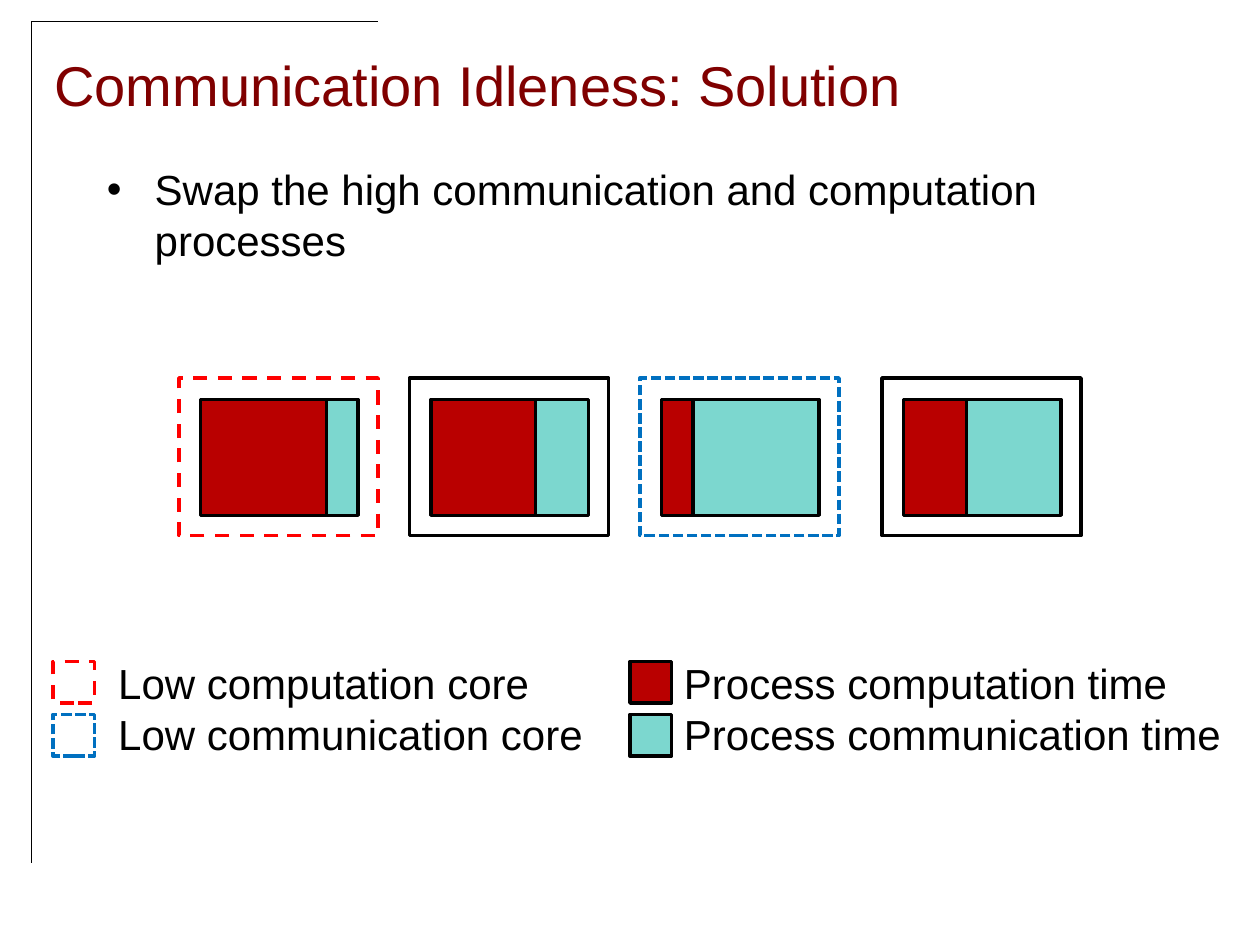
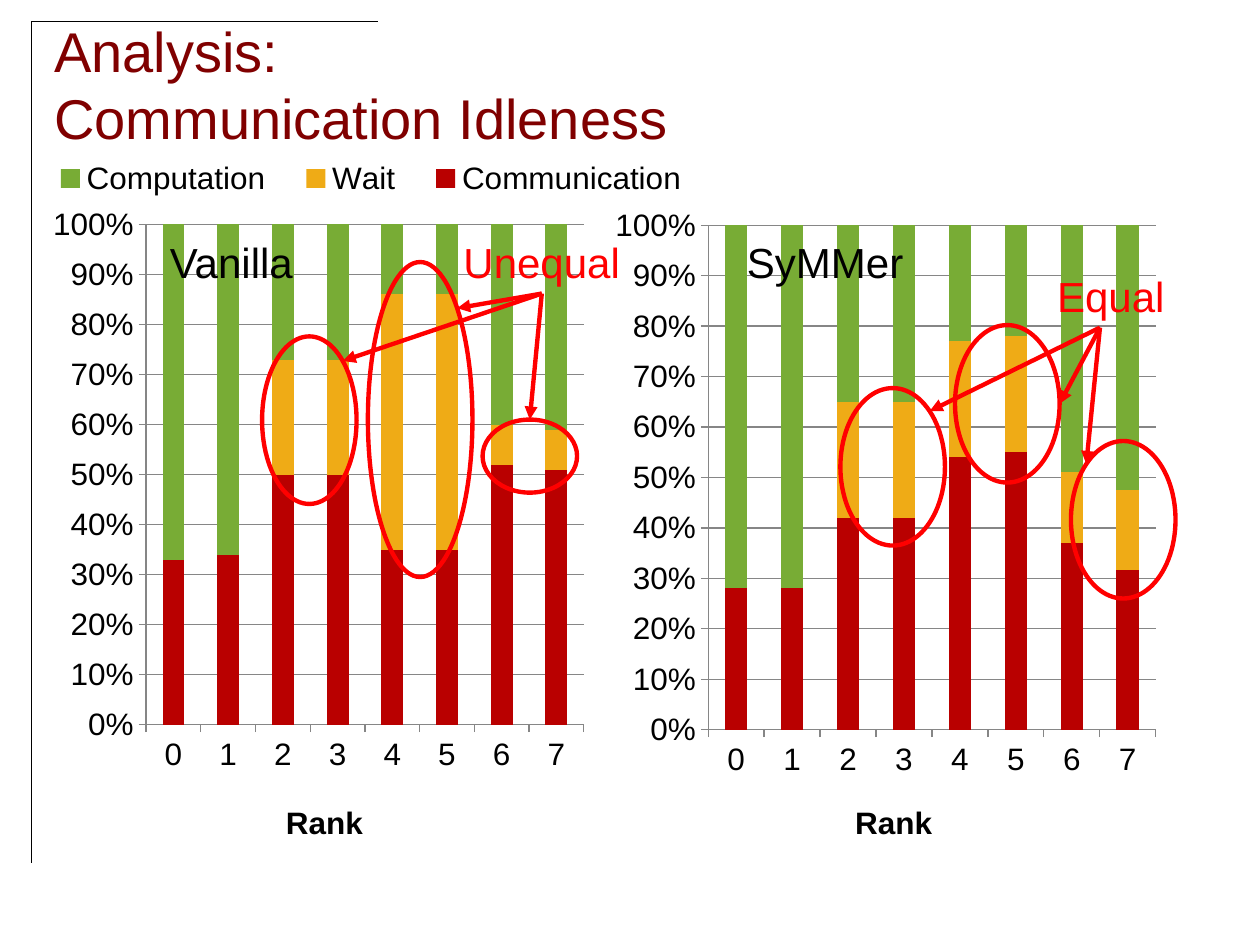
from dataclasses import dataclass
from math import cos, radians, sin
from typing import Optional

from lxml.etree import SubElement
from pptx import Presentation
from pptx.chart.data import CategoryChartData
from pptx.dml.color import RGBColor
from pptx.enum.chart import XL_CHART_TYPE, XL_LEGEND_POSITION, XL_TICK_MARK
from pptx.enum.dml import MSO_LINE
from pptx.enum.shapes import MSO_CONNECTOR, MSO_SHAPE
from pptx.enum.text import MSO_ANCHOR, PP_ALIGN
from pptx.oxml import parse_xml
from pptx.oxml.ns import nsdecls, qn
from pptx.util import Inches, Pt

FONT = "Arial"
BLACK, WHITE, RED, BLUE = "000000", "FFFFFF", "FF0000", "0070C0"
TITLE_COLOR, GRID_COLOR = "800000", "868686"
COMPUTATION_TIME, COMMUNICATION_TIME = "B90000", "7CD7CF"
SERIES_COLORS = {"Communication": "B90000", "Wait": "EFAB16", "Computation": "78AC35"}


@dataclass
class Box:
    left: float
    top: float
    width: float
    height: float

    def inches(self):
        return [Inches(value) for value in (self.left, self.top, self.width, self.height)]


@dataclass
class Outline:
    color: str = BLACK
    width: float = 2
    dash: Optional[MSO_LINE] = None


LOW_COMPUTATION = Outline(RED, dash=MSO_LINE.DASH)
LOW_COMMUNICATION = Outline(BLUE, dash=MSO_LINE.SQUARE_DOT)
HIGHLIGHT = Outline(RED, 2.5)


@dataclass
class Core:
    left: float
    computation_width: float
    outline: Outline


@dataclass
class Target:
    """An ellipse and the angle, in degrees, at which an arrow meets it."""
    box: Box
    angle: float

    def meeting_point(self):
        box, angle = self.box, radians(self.angle)
        return (box.left + box.width / 2 * (1 + cos(angle)),
                box.top + box.height / 2 * (1 - sin(angle)))


@dataclass
class RankChart:
    name: str
    name_box: Box
    box: Box
    plot: Box
    values: list
    has_legend: bool
    remark: str
    remark_box: Box
    remark_indent: float
    targets: list


CORES = [Core(1.42, 1, LOW_COMPUTATION), Core(3.25, 0.83, Outline()),
         Core(5.08, 0.25, LOW_COMMUNICATION), Core(7, 0.5, Outline())]

CHARTS = [
    RankChart("Vanilla", Box(1.25, 1.83, 1.2, 0.5), Box(0, 0.96, 6.01, 5.79),
              Box(0.193, 0.144, 0.578, 0.696),
              [(33, 34, 50, 50, 35, 35, 52, 51), (0, 0, 23, 23, 51, 51, 8, 8),
               (67, 66, 27, 27, 14, 14, 40, 41)],
              True, "Unequal", Box(3.58, 1.83, 1.44, 0.5), 0.1,
              [Target(Box(2.08, 2.67, 0.75, 1.33), 45),
               Target(Box(2.92, 2.08, 0.83, 2.5), 45),
               Target(Box(3.83, 3.33, 0.75, 0.58), 90)]),
    RankChart("SyMMer", Box(5.83, 1.83, 1.44, 0.5), Box(4.83, 1, 5.17, 5.75),
              Box(0.153, 0.139, 0.687, 0.707),
              [(28, 28, 42, 42, 54, 55, 37, 32), (0, 0, 23, 23, 23, 23, 14, 16),
               (72, 72, 35, 35, 23, 22, 49, 53)],
              False, "Equal", Box(8.11, 2.1, 1.24, 0.5), 0.28,
              [Target(Box(6.67, 3.08, 0.83, 1.25), 45),
               Target(Box(7.58, 2.58, 0.83, 1.25), 0),
               Target(Box(8.5, 3.5, 0.83, 1.25), 135)]),
]


def rgb(color: str) -> RGBColor:
    return RGBColor.from_string(color)


def set_font(font, size: float, color: str = BLACK, bold: bool = False) -> None:
    font.name, font.size, font.bold = FONT, Pt(size), bold
    font.color.rgb = rgb(color)


def add_run(paragraph, text: str, size: float = 24, color: str = BLACK) -> None:
    run = paragraph.add_run()
    run.text = text
    set_font(run.font, size, color)


def set_outline(line, outline: Outline) -> None:
    line.color.rgb = rgb(outline.color)
    line.width = Pt(outline.width)
    if outline.dash:
        line.dash_style = outline.dash


def add_outlined(slide, kind, box: Box, outline: Outline, fill: Optional[str] = None):
    shape = slide.shapes.add_shape(kind, *box.inches())
    shape.shadow.inherit = False
    if fill:
        shape.fill.solid()
        shape.fill.fore_color.rgb = rgb(fill)
    else:
        shape.fill.background()
    set_outline(shape.line, outline)
    return shape


def add_line(slide, start: tuple, end: tuple, outline: Outline, arrow: bool = False):
    connector = slide.shapes.add_connector(
        MSO_CONNECTOR.STRAIGHT, *(Inches(value) for value in (*start, *end)))
    set_outline(connector.line, outline)
    if arrow:
        SubElement(connector.line._get_or_add_ln(), qn("a:tailEnd"), type="triangle")
    SubElement(connector._element.spPr, qn("a:effectLst"))
    return connector


def add_text(slide, box: Box, lines: list, color: str = BLACK,
             wrap: bool = False, indent: float = 0.1):
    text_box = slide.shapes.add_textbox(*box.inches())
    frame = text_box.text_frame
    frame.word_wrap = wrap
    frame.margin_left = Inches(indent)
    for index, line in enumerate(lines):
        paragraph = frame.add_paragraph() if index else frame.paragraphs[0]
        add_run(paragraph, line, color=color)
    return text_box


def add_bullet(paragraph) -> None:
    properties = paragraph._p.get_or_add_pPr()
    properties.set("marL", str(Inches(0.38)))
    properties.set("indent", str(Inches(-0.38)))
    SubElement(properties, qn("a:buFont"), typeface=FONT)
    SubElement(properties, qn("a:buChar"), char="•")


def add_titled_slide(presentation, title_lines: list):
    """Add a slide with the corner rules and a left-aligned title."""
    slide = presentation.slides.add_slide(presentation.slide_layouts[5])
    for start, end in [((0.25, 0.17), (0.25, 0.75)), ((0.25, 0.17), (3, 0.17)),
                       ((0.25, 0.75), (0.25, 6.85))]:
        add_line(slide, start, end, Outline(width=0.25))
    title = slide.shapes.title
    title.left, title.top, title.width, title.height = Box(0.33, 0.25, 9.58, 0.83).inches()
    title.text_frame.vertical_anchor = MSO_ANCHOR.MIDDLE
    paragraph = title.text_frame.paragraphs[0]
    paragraph.alignment = PP_ALIGN.LEFT
    for index, line in enumerate(title_lines):
        if index:
            paragraph.add_line_break()
        add_run(paragraph, line, 32, TITLE_COLOR)
    return slide


def set_layout(element, position: int, left: float, top: float,
               width: Optional[float] = None, height: Optional[float] = None,
               inner: bool = False) -> None:
    """Place a chart part by fractions of the chart's size."""
    for old_layout in element.findall(qn("c:layout")):
        element.remove(old_layout)
    layout = parse_xml(f"<c:layout {nsdecls('c')}><c:manualLayout/></c:layout>")
    settings = {"layoutTarget": "inner" if inner else None, "xMode": "edge",
                "yMode": "edge", "x": left, "y": top, "w": width, "h": height}
    for name, value in settings.items():
        if value is not None:
            SubElement(layout[0], qn(f"c:{name}"), val=str(value))
    element.insert(position, layout)


def add_rank_chart(slide, rank_chart: RankChart) -> None:
    data = CategoryChartData()
    data.categories = [str(rank) for rank in range(8)]
    for name, values in zip(SERIES_COLORS, rank_chart.values):
        data.add_series(name, values)
    chart = slide.shapes.add_chart(
        XL_CHART_TYPE.COLUMN_STACKED_100, *rank_chart.box.inches(), data).chart
    set_font(chart.font, 18)
    chart.has_title = False
    chart_space = chart._chartSpace
    chart_space.find(qn("c:chart")).addnext(parse_xml(
        f"<c:spPr {nsdecls('c', 'a')}><a:noFill/><a:ln><a:noFill/></a:ln></c:spPr>"))
    plot = chart.plots[0]
    plot.gap_width, plot.overlap, plot.vary_by_categories = 150, 100, False
    for series in plot.series:
        series.format.fill.solid()
        series.format.fill.fore_color.rgb = rgb(SERIES_COLORS[series.name])
    area = rank_chart.plot
    set_layout(chart_space.find(f".//{qn('c:plotArea')}"), 0,
               area.left, area.top, area.width, area.height, inner=True)

    grid_outline = Outline(GRID_COLOR, 0.75)
    for axis in (chart.category_axis, chart.value_axis):
        axis.major_tick_mark = XL_TICK_MARK.OUTSIDE
        set_outline(axis.format.line, grid_outline)
    chart.value_axis.has_major_gridlines = True
    set_outline(chart.value_axis.major_gridlines.format.line, grid_outline)
    chart.value_axis.tick_labels.number_format = "0%"
    chart.value_axis.tick_labels.number_format_is_linked = False
    axis_title = chart.category_axis.axis_title
    run = axis_title.text_frame.paragraphs[0].add_run()
    run.text = "Rank"
    set_font(run.font, 18, bold=True)
    set_layout(axis_title._element, 1, 0.37, 0.94)

    chart.has_legend = rank_chart.has_legend
    if rank_chart.has_legend:
        chart.legend.position = XL_LEGEND_POSITION.RIGHT
        chart.legend.include_in_layout = False
        set_font(chart.legend.font, 18)
        set_layout(chart.legend._element, 1, 0.04, 0.04, 0.9, 0.08)


def add_remark(slide, rank_chart: RankChart) -> None:
    """Circle the bars in question and point at them from the remark."""
    for target in rank_chart.targets:
        add_outlined(slide, MSO_SHAPE.OVAL, target.box, HIGHLIGHT)
    box = rank_chart.remark_box
    label = add_text(slide, box, [rank_chart.remark], RED, indent=rank_chart.remark_indent)
    start = (box.left + box.width / 2, box.top + box.height)
    for target in rank_chart.targets:
        arrow = add_line(slide, start, target.meeting_point(), HIGHLIGHT, arrow=True)
        arrow.begin_connect(label, 2)


def add_solution_slide(presentation) -> None:
    slide = add_titled_slide(presentation, ["Communication Idleness: Solution"])
    body = add_text(slide, Box(0.75, 1.25, 8.5, 1.08),
                    ["Swap the high communication and computation processes"], wrap=True)
    add_bullet(body.text_frame.paragraphs[0])

    process_width = 1.25
    for core in CORES:
        add_outlined(slide, MSO_SHAPE.RECTANGLE, Box(core.left, 3, 1.58, 1.25), core.outline)
        left = core.left + 0.17
        for width, fill in [(core.computation_width, COMPUTATION_TIME),
                            (process_width - core.computation_width, COMMUNICATION_TIME)]:
            add_outlined(slide, MSO_SHAPE.RECTANGLE, Box(left, 3.17, width, 0.92),
                         Outline(), fill)
            left += width

    legends = [
        (0.42, Box(0.84, 5.17, 3.93, 0.91),
         [("Low computation core", LOW_COMPUTATION, WHITE),
          ("Low communication core", LOW_COMMUNICATION, WHITE)]),
        (5, Box(5.33, 5.17, 4.5, 0.91),
         [("Process computation time", Outline(), COMPUTATION_TIME),
          ("Process communication time", Outline(), COMMUNICATION_TIME)]),
    ]
    for key_left, text_box, entries in legends:
        add_text(slide, text_box, [text for text, _, _ in entries])
        for row, (_, outline, fill) in enumerate(entries):
            add_outlined(slide, MSO_SHAPE.RECTANGLE,
                         Box(key_left, 5.25 + 0.42 * row, 0.33, 0.33), outline, fill)


def add_analysis_slide(presentation) -> None:
    slide = add_titled_slide(presentation, ["Analysis:", "Communication Idleness"])
    for rank_chart in CHARTS:
        add_rank_chart(slide, rank_chart)
        add_text(slide, rank_chart.name_box, [rank_chart.name])
    for rank_chart in CHARTS:
        add_remark(slide, rank_chart)


def main() -> None:
    presentation = Presentation()
    presentation.slide_width, presentation.slide_height = Inches(10), Inches(7.5)
    add_solution_slide(presentation)
    add_analysis_slide(presentation)
    presentation.save("out.pptx")


if __name__ == "__main__":
    main()
